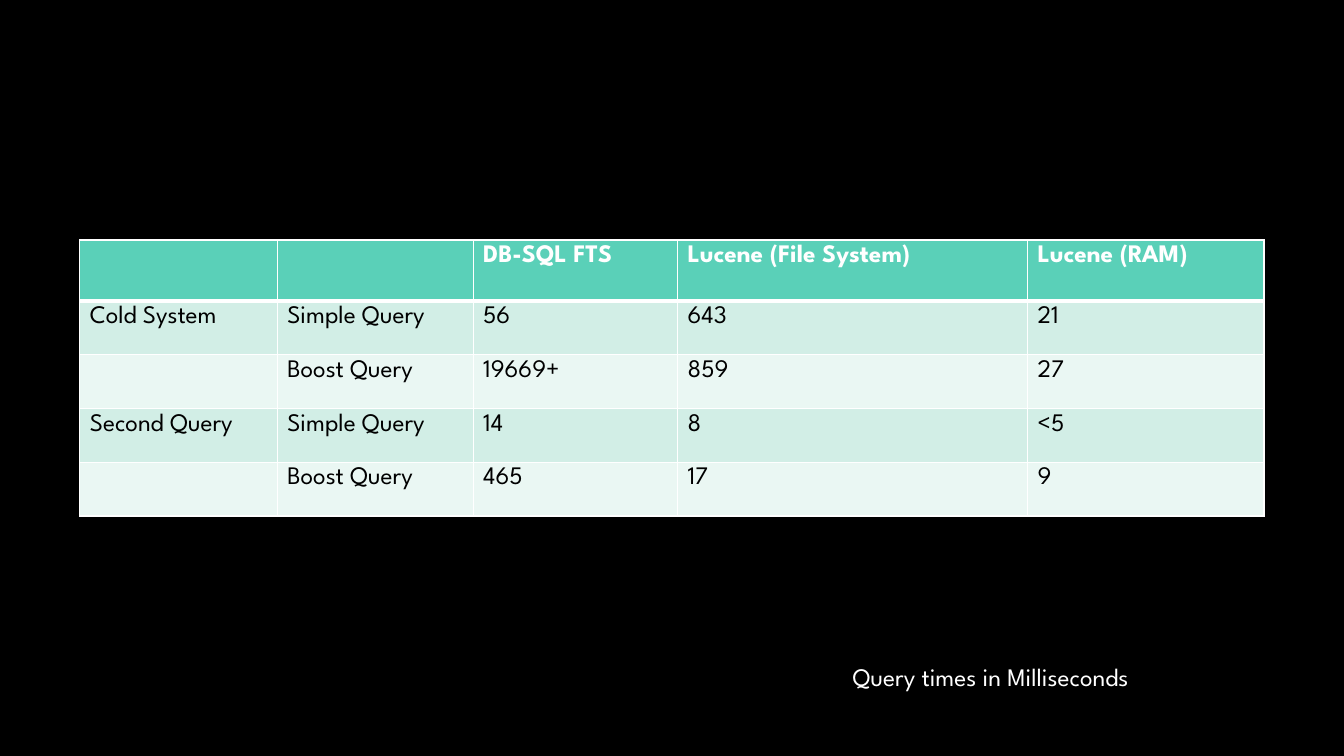
from lxml import etree
from pptx import Presentation
from pptx.dml.color import RGBColor
from pptx.enum.text import MSO_AUTO_SIZE
from pptx.oxml.ns import qn
from pptx.util import Pt

FIT_SHAPE = MSO_AUTO_SIZE.SHAPE_TO_FIT_TEXT
BLANK_LAYOUT = 6

BLACK = "000000"
WHITE = "FFFFFF"
HEADER_FILL = "5AD0B8"
BAND_FILLS = ("D2EEE6", "EAF7F3")

COLUMN_WIDTHS = (141, 140, 146, 250, 169)
HEADER_HEIGHT = 43.6
ROW_HEIGHT = 38.4
QUERY_TIMES = (
    ("", "", "DB-SQL FTS", "Lucene (File System)", "Lucene (RAM)"),
    ("Cold System", "Simple Query", "56", "643", "21"),
    ("", "Boost Query", "19669+", "859", "27"),
    ("Second Query", "Simple Query", "14", "8", "<5"),
    ("", "Boost Query", "465", "17", "9"),
)


def color(value):
    return RGBColor.from_string(value)


class SlideBuilder:
    font_name = "League Spartan"
    font_size = 18

    def __init__(self, slide):
        self.slide = slide

    def background(self, fill):
        background_fill = self.slide.background.fill
        background_fill.solid()
        background_fill.fore_color.rgb = color(fill)

    def set_text(self, text_frame, text, text_color, bold=False):
        text_frame.text = text
        for paragraph in text_frame.paragraphs:
            for font in [paragraph.font] + [run.font for run in paragraph.runs]:
                font.name = self.font_name
                font.size = Pt(self.font_size)
                font.bold = bold
                font.color.rgb = color(text_color)

    def border(self, cell, side, width):
        properties = cell._tc.get_or_add_tcPr()
        line = etree.SubElement(properties, qn(f"a:ln{side}"), w=str(Pt(width)))
        fill = etree.SubElement(line, qn("a:solidFill"))
        etree.SubElement(fill, qn("a:srgbClr"), val=WHITE)

    def cell(self, cell, text, fill, text_color, bold, top, bottom):
        self.set_text(cell.text_frame, text, text_color, bold)
        for side, width in (("L", 1), ("R", 1), ("T", top), ("B", bottom)):
            self.border(cell, side, width)
        cell.fill.solid()
        cell.fill.fore_color.rgb = color(fill)

    def table(self, left, top, rows):
        height = HEADER_HEIGHT + ROW_HEIGHT * (len(rows) - 1)
        table = self.slide.shapes.add_table(
            len(rows), len(COLUMN_WIDTHS), Pt(left), Pt(top),
            Pt(sum(COLUMN_WIDTHS)), Pt(height)).table
        for column, width in zip(table.columns, COLUMN_WIDTHS):
            column.width = Pt(width)
        for row_index, values in enumerate(rows):
            header = row_index == 0
            table.rows[row_index].height = Pt(HEADER_HEIGHT if header else ROW_HEIGHT)
            fill = HEADER_FILL if header else BAND_FILLS[(row_index - 1) % 2]
            for column_index, text in enumerate(values):
                self.cell(table.cell(row_index, column_index), text, fill,
                          WHITE if header else BLACK, header,
                          top=3 if row_index == 1 else 1,
                          bottom=3 if header else 1)

    def label(self, left, top, width, height, text):
        shape = self.slide.shapes.add_textbox(Pt(left), Pt(top), Pt(width), Pt(height))
        text_frame = shape.text_frame
        self.set_text(text_frame, text, WHITE)
        text_frame.word_wrap = False
        text_frame.auto_size = FIT_SHAPE


def main():
    presentation = Presentation()
    presentation.slide_width = Pt(960)
    presentation.slide_height = Pt(540)
    slide = presentation.slides.add_slide(presentation.slide_layouts[BLANK_LAYOUT])

    builder = SlideBuilder(slide)
    builder.background(BLACK)
    builder.table(57, 171.4, QUERY_TIMES)
    builder.label(602, 468.7, 248.4, 29, "Query times in Milliseconds")

    presentation.save("out.pptx")


if __name__ == "__main__":
    main()
